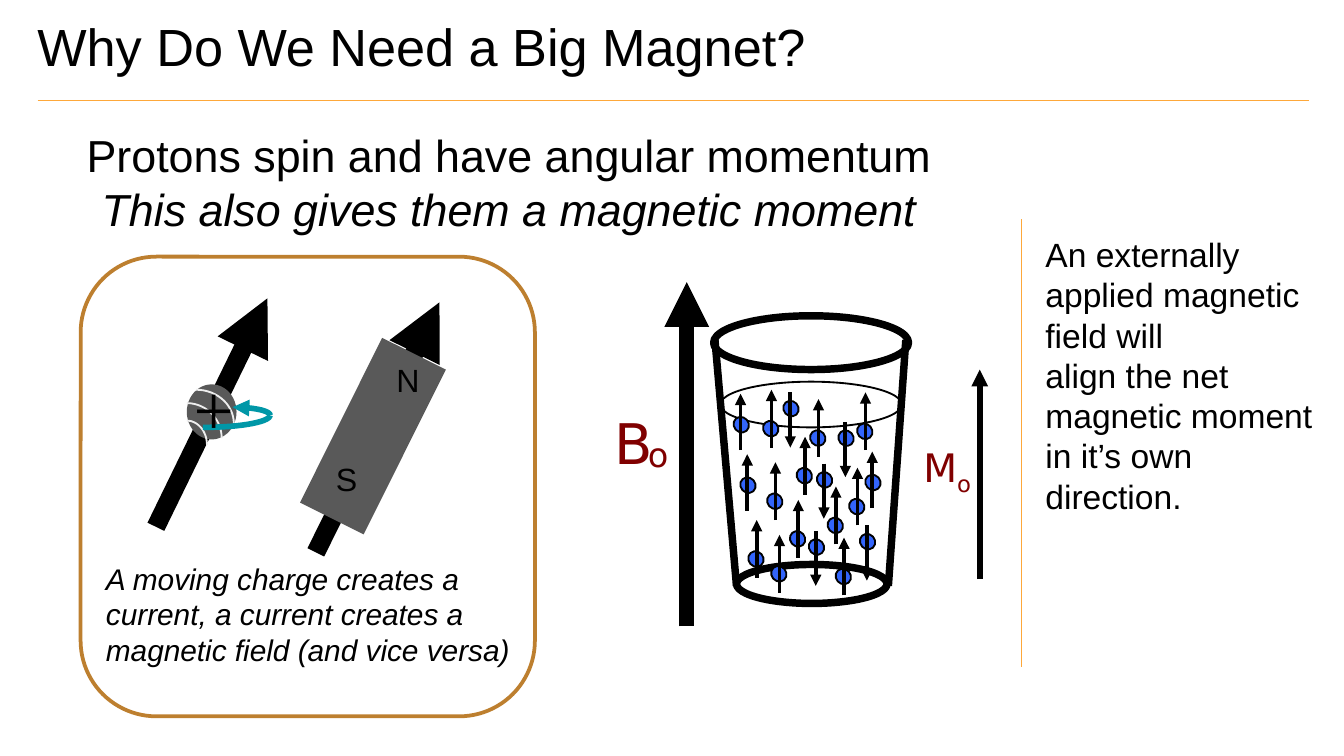
"""Builds the slide on why magnetic resonance needs a big magnet."""
from math import cos, radians, sin

from lxml.etree import SubElement
from pptx import Presentation
from pptx.dml.color import RGBColor
from pptx.enum.shapes import MSO_CONNECTOR, MSO_SHAPE
from pptx.enum.text import MSO_ANCHOR, MSO_AUTO_SIZE, PP_ALIGN
from pptx.oxml.ns import qn
from pptx.util import Inches, Pt

BLACK = RGBColor(0x00, 0x00, 0x00)
GREY = RGBColor(0x59, 0x59, 0x59)
PALE = RGBColor(0xEE, 0xEE, 0xEE)
BLUE = RGBColor(0x33, 0x65, 0xFB)
TEAL = RGBColor(0x00, 0x97, 0xA7)
MAROON = RGBColor(0x80, 0x00, 0x00)
ORANGE = RGBColor(0xFE, 0xA8, 0x3A)
BROWN = RGBColor(0xBD, 0x7F, 0x2F)

prs = Presentation()
prs.slide_width = Inches(10)
prs.slide_height = Inches(10) * 9 // 16
s = prs.slides.add_slide(prs.slide_layouts[6])


def add_line(x1, y1, x2, y2, weight, color=BLACK, arrow=True):
    ln = s.shapes.add_connector(MSO_CONNECTOR.STRAIGHT, Inches(x1), Inches(y1), Inches(x2), Inches(y2))
    ln.line.color.rgb = color
    ln.line.width = Pt(weight)
    if arrow:
        SubElement(ln.line._get_or_add_ln(), qn("a:tailEnd"), type="triangle")
    SubElement(ln._element.spPr, qn("a:effectLst"))


def add_shape(kind, box, fill=None, color=None, weight=1, rotation=0):
    sp = s.shapes.add_shape(kind, *map(Inches, box))
    sp.shadow.inherit = False
    sp.rotation = rotation
    if fill is None:
        sp.fill.background()
    else:
        sp.fill.solid()
        sp.fill.fore_color.rgb = fill
    if color is None:
        sp.line.fill.background()
    else:
        sp.line.color.rgb = color
        sp.line.width = Pt(weight)


beaker = [
    ((5.31, 2.35, 1.45, 0.4), 4),
    ((5.48, 4.2, 1.12, 0.29), 4),
    ((5.36, 2.84, 1.35, 0.34), 1),
]
for box, weight in beaker:
    add_shape(MSO_SHAPE.OVAL, box, color=BLACK, weight=weight)
add_line(5.48, 4.36, 5.32, 2.53, 4, arrow=False)
add_line(6.61, 4.36, 6.74, 2.53, 4, arrow=False)

spin_kinds = {"up": (319, 0.06, 0.2, -0.23), "high": (139, 0.05, 0.25, -0.17), "down": (138, 0.05, -0.06, 0.35)}
protons = {
    "up": [(6.38, 3.15), (5.93, 3.48), (5.57, 4.1), (6.03, 3.2), (5.88, 3.95), (6.32, 3.71),
           (5.74, 4.21), (6.22, 4.23), (5.68, 3.13), (5.71, 3.67), (6.16, 3.85)],
    "high": [(5.46, 3.1), (5.51, 3.55), (6.44, 3.53)],
    "down": [(6.02, 4.01), (6.08, 3.51), (6.4, 3.97), (6.24, 3.2), (5.83, 2.98)],
}
for kind, places in protons.items():
    rotation, shift, start, end = spin_kinds[kind]
    for x, y in places:
        add_shape(MSO_SHAPE.OVAL, (x, y, 0.11, 0.12), BLUE, BLACK, 1, rotation)
        add_line(x + shift, y + start, x + shift, y + end, 2)

add_line(5.11, 4.66, 5.11, 2.1, 8)
add_line(7.29, 4.31, 7.29, 2.75, 3)
add_line(0.28, 0.75, 9.74, 0.75, 0.75, ORANGE, False)
add_line(7.6, 1.63, 7.6, 4.96, 0.75, ORANGE, False)

add_line(1.16, 3.92, 1.99, 2.22, 10)
add_shape(MSO_SHAPE.OVAL, (1.39, 2.86, 0.37, 0.41), GREY)
arcs = [
    (1.46, 3.15, 0.28, 0.25, -90, PALE, 1, False),
    (1.39, 3.26, 0.26, 0.26, -90, PALE, 1, False),
    (1.39, 3.31, 0.15, 0.18, -90, PALE, 1, False),
    (1.73, 3.09, 0.28, 0.06, -90, TEAL, 3, True),
    (1.51, 3.09, 0.5, 0.09, 0, TEAL, 3, False),
]
for cx, cy, rx, ry, first, color, weight, arrow in arcs:
    angles = [radians(first + step) for step in range(0, 91, 6)]
    points = [(Inches(cx + rx * cos(a)), Inches(cy + ry * sin(a))) for a in angles]
    builder = s.shapes.build_freeform(*points[0])
    builder.add_line_segments(points[1:], close=False)
    sp = builder.convert_to_shape()
    sp.shadow.inherit = False
    sp.fill.background()
    sp.line.color.rgb = color
    sp.line.width = Pt(weight)
    if arrow:
        SubElement(sp.line._get_or_add_ln(), qn("a:headEnd"), type="triangle")

add_line(2.35, 4.11, 3.27, 2.25, 10)
add_shape(MSO_SHAPE.RECTANGLE, (2.51, 2.56, 0.53, 1.37), GREY, rotation=26.5)
add_shape(MSO_SHAPE.ROUNDED_RECTANGLE, (0.6, 1.91, 3.38, 3.42), color=BROWN, weight=2)

BODY, LABEL, SMALL = (0.1, 0.05), (0.07, 0.04), (0.05, 0.02)
LEFT, CENTER = PP_ALIGN.LEFT, PP_ALIGN.CENTER
texts = [
    ((0.18, 0.01, 8.82, 0.94), "Why Do We Need a Big Magnet?", 28, "Arial", BLACK, (0.1, 0.1), True, LEFT),
    ((0.51, 0.9, 6.55, 0.91), "Protons spin and have angular momentum\nThis also gives them a magnetic moment",
     24, "Arial", BLACK, BODY, False, CENTER),
    ((7.68, 1.69, 2.25, 2.22), "An externally applied magnetic field will\n"
     "align the net magnetic moment in it’s own direction.", 18, "Arial", BLACK, BODY, True, LEFT),
    ((0.69, 4.12, 3.44, 0.91), "A moving charge creates a current, a current creates a magnetic field (and vice versa)",
     16, "Arial", BLACK, BODY, True, LEFT),
    ((4.5, 3, 0.44, 0.58), "B", 30, "DejaVu Sans", MAROON, LABEL, False, LEFT),
    ((4.75, 3.19, 0.3, 0.38), "o", 18, "DejaVu Sans", MAROON, LABEL, False, LEFT),
    ((6.8, 3.26, 0.52, 0.43), "M", 21, "DejaVu Sans", MAROON, LABEL, False, LEFT),
    ((1.39, 2.69, 0.4, 0.69), "+", 38.2, "Times New Roman", BLACK, SMALL, False, LEFT),
    ((2.9, 2.66, 0.27, 0.34), "N", 17.2, "Arial", BLACK, SMALL, False, LEFT),
    ((2.45, 3.4, 0.26, 0.34), "S", 17.2, "Arial", BLACK, SMALL, False, LEFT),
]
for box, text, size, font, color, (side, edge), wrap, align in texts:
    tf = s.shapes.add_textbox(*map(Inches, box)).text_frame
    tf.text = text
    tf.word_wrap = wrap
    tf.vertical_anchor = MSO_ANCHOR.TOP
    tf.auto_size = MSO_AUTO_SIZE.NONE if size == 28 else MSO_AUTO_SIZE.SHAPE_TO_FIT_TEXT
    tf.margin_left = tf.margin_right = Inches(side)
    tf.margin_top = tf.margin_bottom = Inches(edge)
    if text == "M":
        r = tf.paragraphs[0].add_run()
        r.text = "o"
        r._r.get_or_add_rPr().set("baseline", "-25000")
    for p in tf.paragraphs:
        p.alignment = align
        for r in p.runs:
            r.font.size = Pt(size)
            r.font.name = font
            r.font.color.rgb = color
            if r.text.startswith(("This also", "A moving")):
                r.font.italic = True

prs.save("out.pptx")
